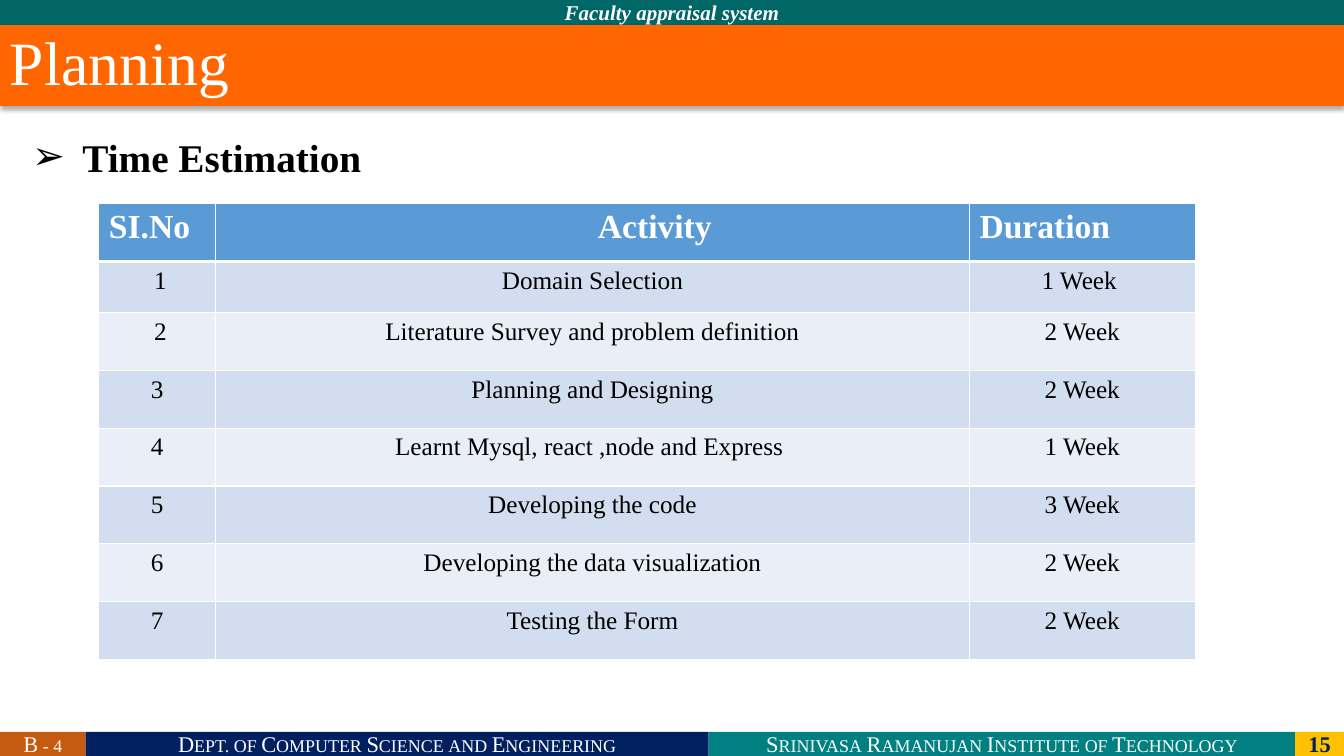
"""Build the project planning slide with its time estimation table."""
from lxml.etree import SubElement
from pptx import Presentation
from pptx.dml.color import RGBColor
from pptx.enum.shapes import MSO_SHAPE as Shape
from pptx.enum.text import MSO_ANCHOR as Anchor, PP_ALIGN as Align
from pptx.oxml.ns import qn
from pptx.util import Pt

WHITE = RGBColor(0xFF, 0xFF, 0xFF)
BLACK = RGBColor(0, 0, 0)
NAVY = RGBColor(0x00, 0x20, 0x60)
TEAL = RGBColor(0x00, 0x80, 0x80)
DARK_TEAL = RGBColor(0x00, 0x66, 0x66)
GOLD = RGBColor(0xFF, 0xC0, 0x00)
RUST = RGBColor(0xC5, 0x5A, 0x11)
ORANGE = RGBColor(0xFF, 0x66, 0x00)
HEADER_BLUE = RGBColor(0x5B, 0x9B, 0xD5)
BAND_DARK = RGBColor(0xD2, 0xDE, 0xEF)
BAND_LIGHT = RGBColor(0xEA, 0xEF, 0xF7)

SLIDE_WIDTH, SLIDE_HEIGHT = 960, 540
FOOTER_HEIGHT = 17.3
COLUMN_WIDTHS = [83.3, 538.6, 161.2]
ROW_HEIGHT, FIRST_ROW_HEIGHT = 41.3, 36.5
HEADINGS = ["SI.No", "Activity", "Duration"]
ACTIVITIES = [
    ("Domain Selection", "1 Week"),
    ("Literature Survey and problem definition", "2 Week"),
    ("Planning and Designing", "2 Week"),
    ("Learnt Mysql, react ,node and Express", "1 Week"),
    ("Developing the code", "3 Week"),
    ("Developing the data visualization", "2 Week"),
    ("Testing the Form", "2 Week"),
]
CELL_MARGINS = {
    (0, 1): ("marL", 266),
    (1, 0): ("marL", 4.5),
    (2, 0): ("marL", 4.5),
    (1, 2): ("marR", 4.5),
    (4, 1): ("marR", 4.5),
}


class SlideBuilder:
    """Hold the slide and its type style, and add elements to it."""

    def __init__(self, slide, font="Times New Roman"):
        self.slide = slide
        self.font = font

    def style(self, para, size, color, align, bold=False, italic=False):
        """Format a paragraph and its runs."""
        para.alignment = align
        for span in para.runs:
            font = span.font
            font.name, font.size = self.font, Pt(size)
            font.bold, font.italic = bold, italic
            font.color.rgb = color

    def bar(self, text, left, top, width, height, fill, size=16, color=WHITE,
            align=Align.CENTER, small_caps=False, **emphasis):
        """Add a filled bar with one line of text."""
        box = self.slide.shapes.add_shape(
            Shape.RECTANGLE, Pt(left), Pt(top), Pt(width), Pt(height))
        box.shadow.inherit = False
        box.fill.solid()
        box.fill.fore_color.rgb = fill
        box.line.fill.background()
        frame = box.text_frame
        frame.word_wrap = True
        frame.vertical_anchor = Anchor.MIDDLE
        frame.text = text
        para = frame.paragraphs[0]
        self.style(para, size, color, align, **emphasis)
        if small_caps:
            para.runs[0].font._element.set("cap", "small")
        return box

    def title(self, text, top, height):
        """Add the title band with its soft shadow."""
        box = self.bar(text, 0, top, SLIDE_WIDTH, height, ORANGE, 44,
                       align=Align.JUSTIFY)
        box.text_frame.paragraphs[0].line_spacing = 0.9
        effects = box._element.spPr.find(qn("a:effectLst"))
        shadow = SubElement(effects, qn("a:outerShdw"), blurRad=str(Pt(3.5)),
                            dist=str(Pt(2.2)), dir="5400000", rotWithShape="0")
        shade = SubElement(shadow, qn("a:srgbClr"), val=str(BLACK))
        SubElement(shade, qn("a:alpha"), val="32000")

    def bullet(self, text, left, top, width, height):
        """Add a text box with one arrow bullet."""
        box = self.slide.shapes.add_textbox(
            Pt(left), Pt(top), Pt(width), Pt(height))
        frame = box.text_frame
        frame.word_wrap = True
        frame.text = text
        para = frame.paragraphs[0]
        props = para._p.get_or_add_pPr()
        props.set("marL", str(Pt(36)))
        props.set("indent", str(Pt(-36)))
        bullet_color = SubElement(props, qn("a:buClr"))
        SubElement(bullet_color, qn("a:srgbClr"), val=str(BLACK))
        SubElement(props, qn("a:buFont"), typeface="Arial")
        SubElement(props, qn("a:buChar"), char="➢")
        self.style(para, 28, BLACK, Align.JUSTIFY, bold=True)

    def borders(self, cell, top, bottom):
        """Draw white borders round a cell."""
        props = cell._tc.get_or_add_tcPr()
        for side, width in (("L", 1), ("R", 1), ("T", top), ("B", bottom)):
            line = SubElement(props, qn(f"a:ln{side}"), w=str(Pt(width)))
            fill = SubElement(line, qn("a:solidFill"))
            SubElement(fill, qn("a:srgbClr"), val=str(WHITE))

    def table(self, rows, left, top, widths, heights):
        """Add a banded table with a header row."""
        frame = self.slide.shapes.add_table(
            len(rows), len(widths), Pt(left), Pt(top),
            Pt(sum(widths)), Pt(sum(heights)))
        table = frame.table
        for column, width in zip(table.columns, widths):
            column.width = Pt(width)
        for r, (values, height) in enumerate(zip(rows, heights)):
            table.rows[r].height = Pt(height)
            for c, value in enumerate(values):
                cell = table.cell(r, c)
                cell.text = value
                para = cell.text_frame.paragraphs[0]
                if (r, c) in CELL_MARGINS:
                    side, margin = CELL_MARGINS[r, c]
                    para._p.get_or_add_pPr().set(side, str(Pt(margin)))
                self.borders(cell, 3 if r == 1 else 1, 3 if r == 0 else 1)
                cell.fill.solid()
                if r == 0:
                    cell.fill.fore_color.rgb = HEADER_BLUE
                    self.style(para, 24, WHITE, Align.LEFT, bold=True)
                else:
                    cell.fill.fore_color.rgb = BAND_DARK if r % 2 else BAND_LIGHT
                    self.style(para, 18, BLACK, Align.CENTER)


def main():
    """Compose the slide and save it."""
    deck = Presentation()
    deck.slide_width, deck.slide_height = Pt(SLIDE_WIDTH), Pt(SLIDE_HEIGHT)
    page = SlideBuilder(deck.slides.add_slide(deck.slide_layouts[6]))

    page.bar("Faculty appraisal system", 0, 0, SLIDE_WIDTH, 18, DARK_TEAL, 15,
             bold=True, italic=True)
    footer = [
        ("B - 4", 61.2, RUST, {"small_caps": True}),
        ("Dept. of Computer Science and Engineering", 445, NAVY,
         {"small_caps": True}),
        ("Srinivasa Ramanujan Institute of Technology", 419, TEAL,
         {"small_caps": True}),
        ("15", 34.8, GOLD, {"color": NAVY, "bold": True}),
    ]
    left = 0
    for text, width, fill, options in footer:
        page.bar(text, left, SLIDE_HEIGHT - FOOTER_HEIGHT, width,
                 FOOTER_HEIGHT, fill, **options)
        left += width

    page.title("Planning", 18, 57.6)
    page.bullet("Time Estimation", 15.8, 91.4, 927.4, 416.2)
    rows = [HEADINGS] + [(str(number), *activity)
                         for number, activity in enumerate(ACTIVITIES, 1)]
    heights = [ROW_HEIGHT, FIRST_ROW_HEIGHT] + [ROW_HEIGHT] * (len(rows) - 2)
    page.table(rows, 70.6, 145.6, COLUMN_WIDTHS, heights)
    deck.save("out.pptx")


if __name__ == "__main__":
    main()
